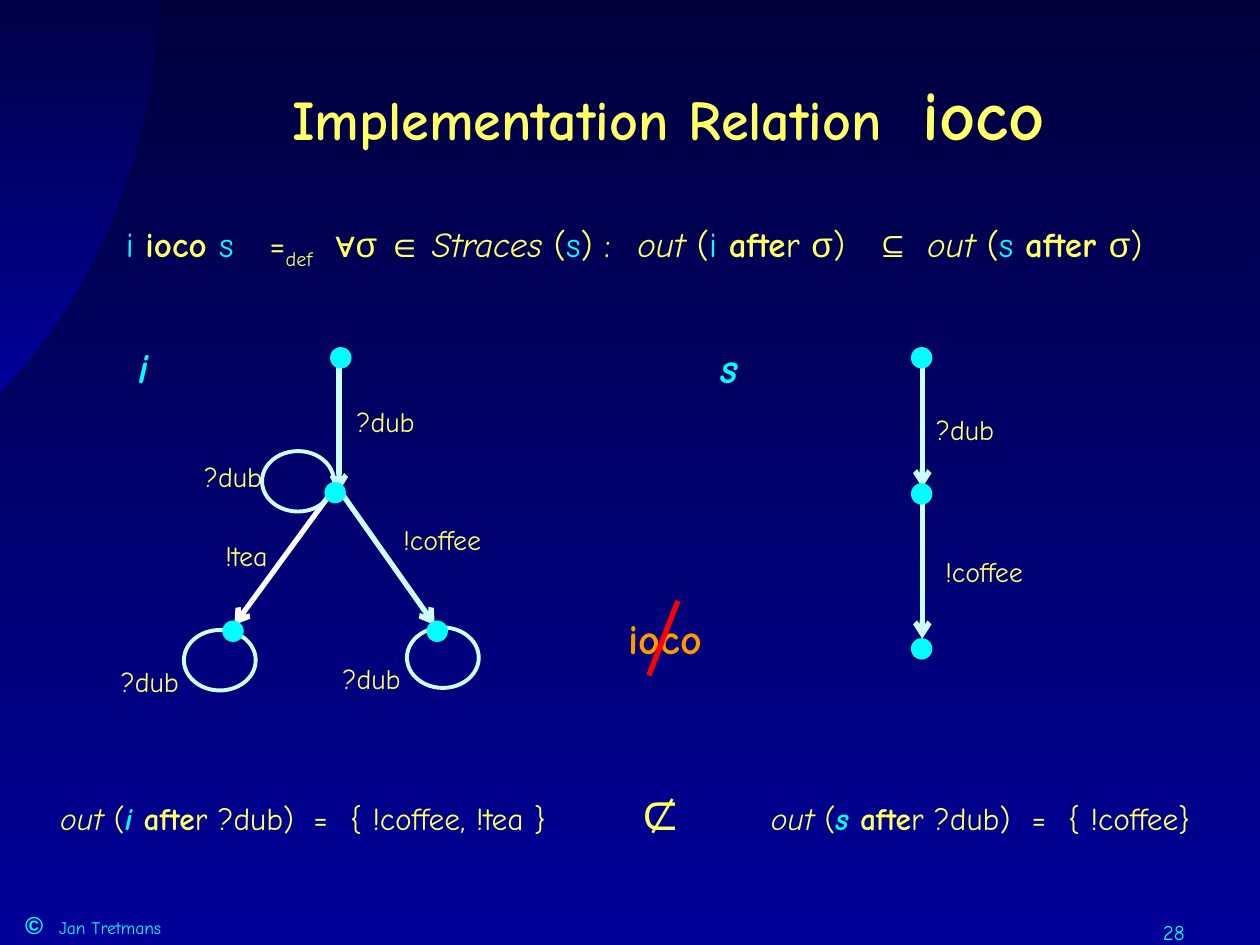
from lxml import etree
from pptx import Presentation
from pptx import util as u
from pptx.dml.color import RGBColor
from pptx.enum import shapes, text
from pptx.oxml.ns import qn

YELLOW, CYAN, PALE, WHITE = "FFFF66", "00FFFF", "CCFFFF", "FFFFFF"
ORANGE, RED = "FF9900", "FF0000"
LEFT, CENTER, RIGHT = text.PP_ALIGN.LEFT, text.PP_ALIGN.CENTER, text.PP_ALIGN.RIGHT
MIDDLE, TOP = text.MSO_ANCHOR.MIDDLE, text.MSO_ANCHOR.TOP

ITALIC = {"italic": True}
BOLD = {"bold": True}
STATE = {"color": CYAN}
SYMBOL = {"name": "Arial"}
SUB = {"baseline": -25000}


def rgb(color):
    return RGBColor.from_string(color)


def grid(*cells):
    """Turn counts of grid cells (100 columns by 75 rows) into lengths."""
    return [u.Inches(cell / 10) for cell in cells]


def fade_down(fill, top, bottom):
    fill.gradient()
    fill.gradient_angle = 270
    for stop, color in zip(fill.gradient_stops, (top, bottom)):
        stop.color.rgb = rgb(color)


class Board:
    """Draws on one slide with a shared style; positions are in grid cells."""

    font = "Comic Neue"
    state_size = 1.7
    loop_size = (5.7, 4.8)

    def __init__(self, slide):
        self.slide = slide
        self.shapes = slide.shapes

    def background(self, top, bottom):
        fade_down(self.slide.background.fill, top, bottom)

    def corner(self, start, controls, end, top, bottom, steps=32):
        """Fill the top-left corner up to a cubic curve."""
        curve = []
        for step in range(steps + 1):
            t = step / steps
            weights = ((1 - t) ** 3, 3 * t * (1 - t) ** 2, 3 * t * t * (1 - t), t ** 3)
            points = (start, *controls, end)
            curve.append(grid(*(sum(w * p[axis] for w, p in zip(weights, points))
                                for axis in (0, 1))))
        builder = self.shapes.build_freeform(0, 0)
        builder.add_line_segments(curve, close=True)
        shape = builder.convert_to_shape()
        shape.shadow.inherit = False
        shape.line.fill.background()
        fade_down(shape.fill, top, bottom)

    def text(self, box, runs, size, align=LEFT, anchor=MIDDLE, spacing=1.0, tabs=()):
        frame = self.shapes.add_textbox(*grid(*box)).text_frame
        for key, value in {"word_wrap": True, "vertical_anchor": anchor}.items():
            setattr(frame, key, value)
        paragraph = frame.paragraphs[0]
        for key, value in {"alignment": align, "line_spacing": spacing}.items():
            setattr(paragraph, key, value)
        if tabs:
            stops = etree.SubElement(paragraph._p.get_or_add_pPr(), qn("a:tabLst"))
            for position in grid(*tabs):
                etree.SubElement(stops, qn("a:tab"), pos=str(position), algn="l")
        for words, *formats in runs:
            self.run(paragraph, words, size, formats)

    def run(self, paragraph, words, size, formats):
        style = {"name": self.font, "size": size, "bold": False, "color": YELLOW}
        for extra in formats:
            style.update(extra)
        run = paragraph.add_run()
        run.text = words
        run.font.color.rgb = rgb(style.pop("color"))
        baseline = style.pop("baseline", None)
        if baseline:
            run._r.get_or_add_rPr().set("baseline", str(baseline))
        style["size"] = u.Pt(style["size"])
        for key, value in style.items():
            setattr(run.font, key, value)

    def label(self, x, y, words, *formats, size=16, box=(10, 4.2)):
        """Write one word centred on a point."""
        width, height = box
        self.text((x - width / 2, y - height / 2, width, height),
                  [(words, *formats)], size, CENTER, spacing=1.2)

    def round_shape(self, kind, x, y, width, height):
        shape = self.shapes.add_shape(
            kind, *grid(x - width / 2, y - height / 2, width, height))
        shape.shadow.inherit = False
        return shape

    def state(self, x, y):
        dot = self.round_shape(shapes.MSO_SHAPE.FLOWCHART_CONNECTOR,
                               x, y, self.state_size, self.state_size)
        dot.fill.solid()
        dot.fill.fore_color.rgb = rgb(CYAN)
        dot.line.fill.background()

    def loop(self, x, y):
        ring = self.round_shape(shapes.MSO_SHAPE.OVAL, x, y, *self.loop_size)
        ring.fill.background()
        ring.line.color.rgb = rgb(PALE)
        ring.line.width = u.Pt(2.25)

    def line(self, start, end, color=PALE, arrow=True):
        line = self.shapes.add_connector(
            shapes.MSO_CONNECTOR.STRAIGHT, *grid(*start, *end))
        line.line.color.rgb = rgb(color)
        line.line.width = u.Pt(3)
        if arrow:
            etree.SubElement(line.line._get_or_add_ln(), qn("a:tailEnd"), type="arrow")
        etree.SubElement(line._element.spPr, qn("a:effectLst"))


def draw_machine(board, name, name_x, transitions, loops, states, labels):
    for transition in transitions:
        board.line(*transition)
    for center in loops:
        board.loop(*center)
    for center in states:
        board.state(*center)
    for label in labels:
        board.label(*label)
    board.label(name_x, 28.7, name, STATE, BOLD, ITALIC, size=24, box=(2.7, 5.8))


def draw_outputs(board, left, system, outputs, tabs):
    runs = [("out", ITALIC), (" (",), (system + " ", STATE, BOLD, ITALIC),
            ("afte", BOLD), (f"r ?dub)\t=\t{outputs}",)]
    board.text((left, 62.3, 42, 4.6), runs, 18, spacing=1.2, tabs=tabs)


def main():
    deck = Presentation()
    deck.slide_width, deck.slide_height = grid(100, 75)
    board = Board(deck.slides.add_slide(deck.slide_layouts[6]))

    board.background("00003C", "000099")
    board.corner((12.7, 0), ((12.2, 12), (7.6, 23.4)), (0, 31.1), "000047", "000099")
    board.text((1, 71.7, 48.9, 3.3),
               [("©", STATE, SYMBOL, BOLD, {"size": 14}), ("\tJan Tretmans", STATE)],
               10, anchor=TOP, tabs=[2.7])
    board.text((85.8, 72.5, 9.2, 2.5), [("28", STATE)], 12, RIGHT, TOP)

    board.text((22.2, 2.7, 73.3, 12.5),
               [("Implementation Relation\t", BOLD), ("ioco", BOLD, {"size": 40})],
               32, tabs=[50])
    definition = [
        ("i ", STATE), ("ioco ", BOLD), ("s", STATE), ("\t=",), ("def", SUB),
        ("\t∀σ ∈ ", SYMBOL), ("Straces ", ITALIC), ("(",), ("s", STATE), (") :\t",),
        ("out ", ITALIC), ("(",), ("i ", STATE), ("afte", BOLD), ("r ",),
        ("σ", SYMBOL), (")\t",), ("⊆\t", SYMBOL),
        ("out ", ITALIC), ("(",), ("s ", STATE), ("after ", BOLD), ("σ", SYMBOL), (")",)]
    board.text((9, 17.2, 88, 4.8), definition, 20, anchor=TOP,
               tabs=[11.4, 16.6, 40.6, 59.5, 63.6])

    draw_machine(
        board, "s", 57.55,
        transitions=[((73.2, 28.1), (73.2, 38.7)), ((73.2, 40), (73.2, 50.7))],
        loops=[],
        states=[(73.15, y) for y in (28.4, 39.2, 51.5)],
        labels=[(76.6, 33.8, "?dub"), (78.1, 45.1, "!coffee")])
    draw_machine(
        board, "i", 11.35,
        transitions=[((26.9, 28.3), (26.9, 39)), ((26.8, 38.7), (34.5, 49.6)),
                     ((26.5, 38.8), (18.6, 49.6), WHITE)],
        loops=[(23.65, 38.2), (17.45, 52.4), (35.15, 52.2)],
        states=[(27.05, 28.4), (26.6, 39.1), (18.5, 50.1), (34.7, 50.1)],
        labels=[(30.6, 33.2, "?dub"), (18.5, 37.5, "?dub"), (11.9, 53.8, "?dub"),
                (29.5, 53.6, "?dub"), (19.55, 43.8, "!tea"), (35.1, 42.5, "!coffee")])

    draw_outputs(board, 3.8, "i", "{ !coffee, !tea }", [20.1, 23])
    draw_outputs(board, 60.2, "s", "{ !coffee}", [20.7, 23.6])
    board.label(52.4, 63.6, "⊄", SYMBOL, BOLD, size=32, box=(6.6, 7.4))

    board.label(52.8, 50.2, "ioco", BOLD, {"color": ORANGE}, size=24, box=(7.8, 5.8))
    board.line((53.8, 47.7), (51.5, 53.6), RED, arrow=False)

    deck.save("out.pptx")


if __name__ == "__main__":
    main()
